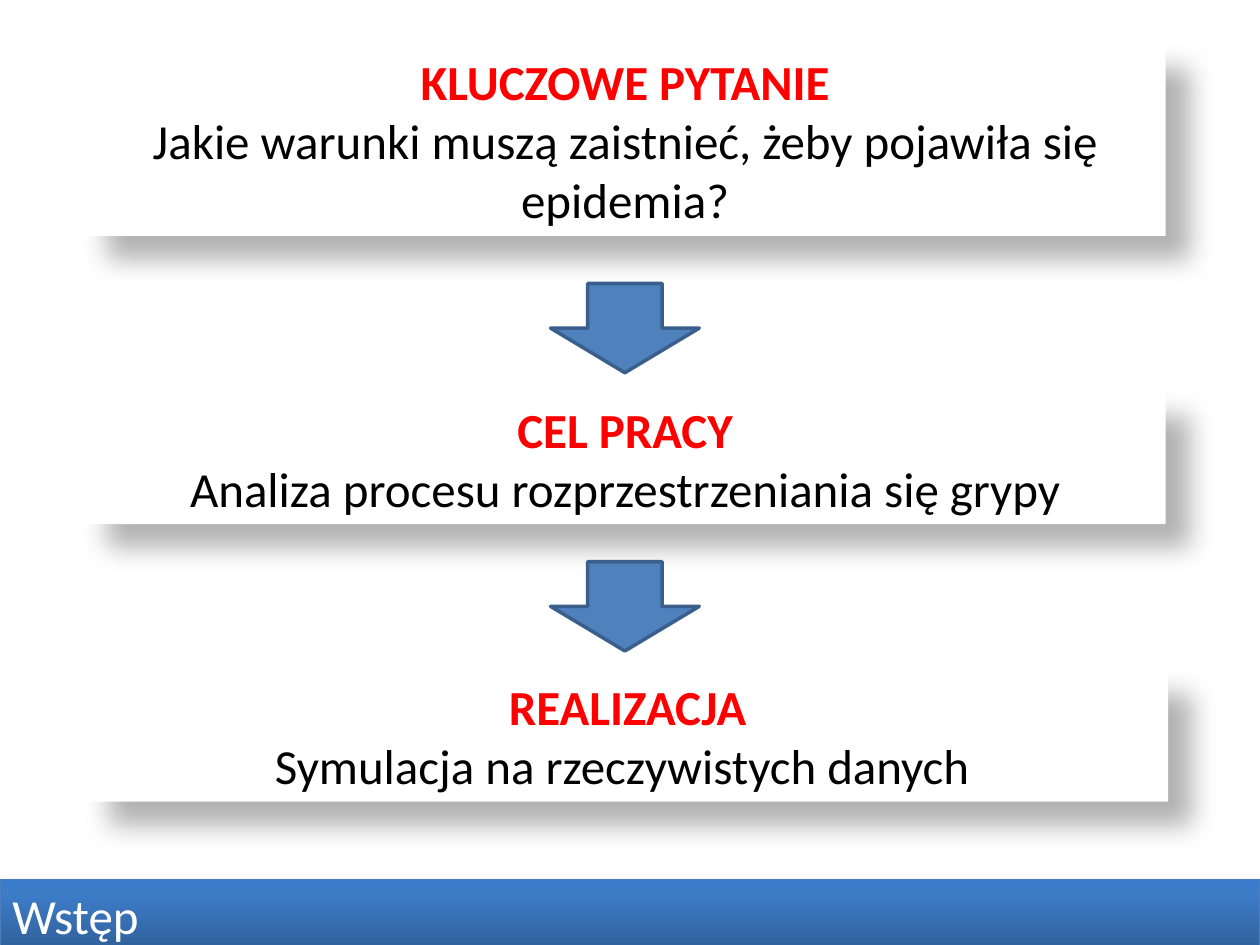
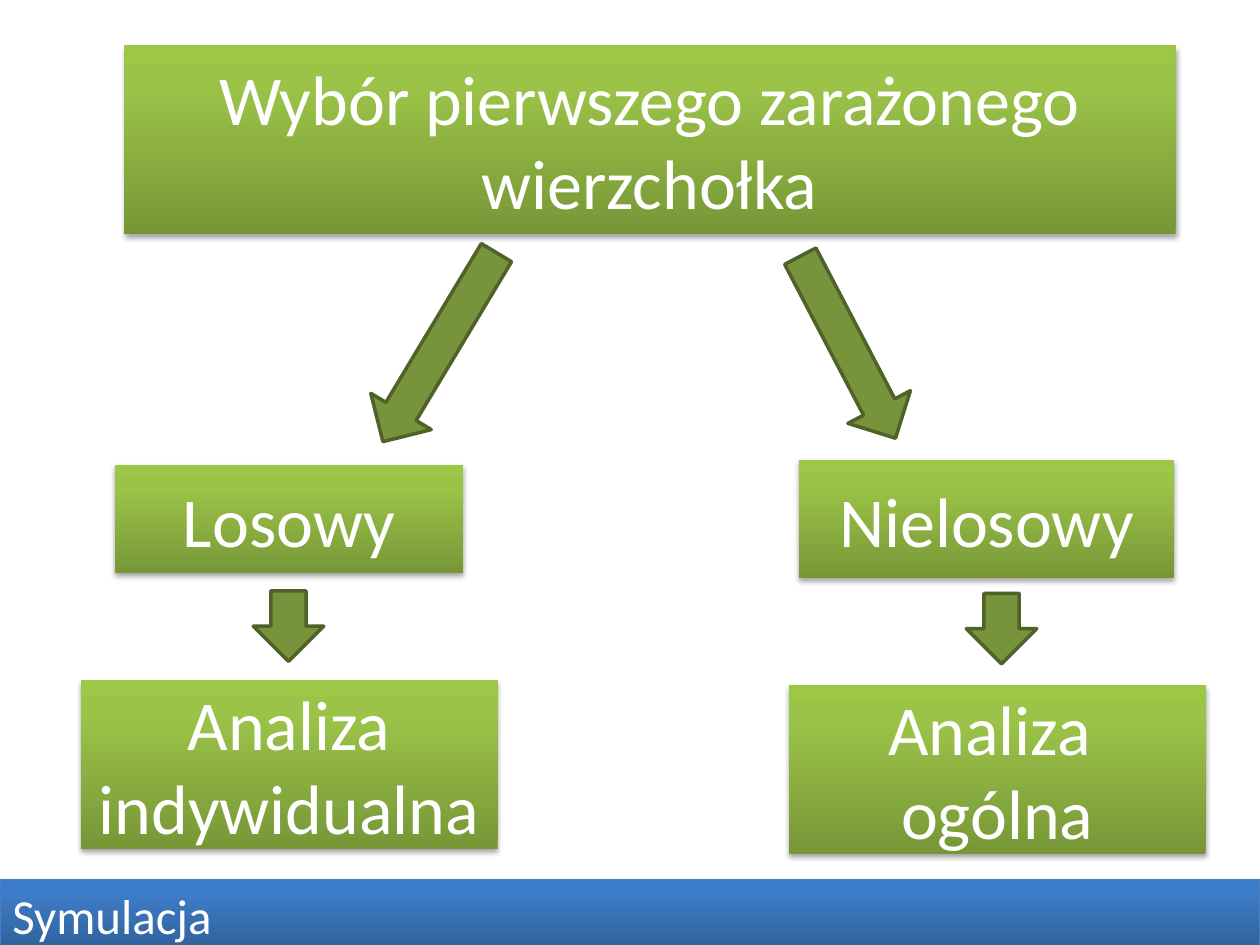
import copy

import pptx
import pptx.dml.color
import pptx.enum.shapes
import pptx.enum.text
import pptx.oxml
import pptx.oxml.ns
import pptx.util

Pt = pptx.util.Pt
RGBColor = pptx.dml.color.RGBColor
SHAPES = pptx.enum.shapes.MSO_SHAPE
ALIGN = pptx.enum.text.PP_ALIGN
ANCHOR = pptx.enum.text.MSO_ANCHOR
AUTO_SIZE = pptx.enum.text.MSO_AUTO_SIZE

WHITE = RGBColor(0xFF, 0xFF, 0xFF)
BLACK = RGBColor(0x00, 0x00, 0x00)
RED = RGBColor(0xFF, 0x00, 0x00)
BLUE = RGBColor(0x4F, 0x81, 0xBD)
BLUE_EDGE = RGBColor(0x3A, 0x5F, 0x8C)
BAND_EDGE = RGBColor(0x4B, 0x7E, 0xBC)
GREEN = RGBColor(0x77, 0x93, 0x3C)
GREEN_EDGE = RGBColor(0x4F, 0x62, 0x28)
BLUE_STOPS = (RGBColor(0x2F, 0x5F, 0x99), RGBColor(0x3D, 0x7C, 0xC7), RGBColor(0x3A, 0x7C, 0xCB))
GREEN_STOPS = (RGBColor(0x77, 0x97, 0x37), RGBColor(0x9B, 0xC3, 0x48), RGBColor(0x9D, 0xC7, 0x46))

DEEP_SHADOW = (30, 15, 18, 45)
SOFT_SHADOW = (35, 3.1, 1.8, 90)
WIDTH, HEIGHT = 720, 540


class Deck:
    font = "Calibri"
    body_size = 28
    node_size = 40
    stop_positions = (0, 0.8, 1)

    def __init__(self):
        self.presentation = pptx.Presentation()
        self.presentation.slide_width = Pt(WIDTH)
        self.presentation.slide_height = Pt(HEIGHT)
        self.slide = None

    def new_slide(self, section):
        self.slide = self.presentation.slides.add_slide(self.presentation.slide_layouts[6])
        self.band(section)

    def shape(self, kind, left, top, width, height):
        shape = self.slide.shapes.add_shape(kind, Pt(left), Pt(top), Pt(width), Pt(height))
        shape.shadow.inherit = False
        shape.line.fill.background()
        return shape

    def outline(self, shape, color, width):
        shape.line.color.rgb = color
        shape.line.width = Pt(width)

    def cast_shadow(self, shape, opacity, blur, distance, angle):
        effects = shape._element.spPr.find(pptx.oxml.ns.qn("a:effectLst"))
        effects.append(pptx.oxml.parse_xml(
            f'<a:outerShdw {pptx.oxml.ns.nsdecls("a")} blurRad="{int(Pt(blur))}" '
            f'dist="{int(Pt(distance))}" dir="{angle * 60000}" algn="ctr" rotWithShape="0">'
            f'<a:srgbClr val="{BLACK}"><a:alpha val="{opacity * 1000}"/></a:srgbClr>'
            f'</a:outerShdw>'))

    def gradient(self, shape, colors):
        shape.fill.gradient()
        shape.fill.gradient_angle = 90
        stops = shape._element.spPr.find(".//" + pptx.oxml.ns.qn("a:gsLst"))
        stops.append(copy.deepcopy(stops[-1]))
        for stop, color, position in zip(shape.fill.gradient_stops, colors, self.stop_positions):
            stop.color.rgb = color
            stop.position = position

    def label(self, shape, lines, size, align, anchor):
        frame = shape.text_frame
        frame.word_wrap = True
        frame.vertical_anchor = anchor
        frame.text = "\n".join(text for text, _, _ in lines)
        for paragraph, (_, color, bold) in zip(frame.paragraphs, lines):
            paragraph.alignment = align
            font = paragraph.runs[0].font
            font.name = self.font
            font.size = Pt(size)
            font.bold = bold
            font.color.rgb = color

    def band(self, section):
        band = self.shape(SHAPES.RECTANGLE, 0, 502.6, WIDTH, 41.2)
        self.gradient(band, BLUE_STOPS)
        self.outline(band, BAND_EDGE, 0.75)
        self.cast_shadow(band, *SOFT_SHADOW)
        self.label(band, [(section, WHITE, False)], self.body_size, ALIGN.LEFT, ANCHOR.TOP)
        band.text_frame.auto_size = AUTO_SIZE.SHAPE_TO_FIT_TEXT

    def card(self, left, top, height, heading, statement):
        card = self.shape(SHAPES.RECTANGLE, left, top, 618, height)
        card.fill.solid()
        card.fill.fore_color.rgb = WHITE
        self.cast_shadow(card, *DEEP_SHADOW)
        self.label(card, [(heading, RED, True), (statement, BLACK, False)],
                   self.body_size, ALIGN.CENTER, ANCHOR.TOP)
        card.text_frame.auto_size = AUTO_SIZE.SHAPE_TO_FIT_TEXT

    def node(self, left, top, width, height, *lines):
        node = self.shape(SHAPES.RECTANGLE, left, top, width, height)
        self.gradient(node, GREEN_STOPS)
        self.cast_shadow(node, *SOFT_SHADOW)
        self.label(node, [(line, WHITE, False) for line in lines],
                   self.node_size, ALIGN.CENTER, ANCHOR.MIDDLE)

    def arrow(self, left, top, width, height, color, edge, rotation=0):
        arrow = self.shape(SHAPES.DOWN_ARROW, left, top, width, height)
        arrow.fill.solid()
        arrow.fill.fore_color.rgb = color
        self.outline(arrow, edge, 2)
        arrow.rotation = rotation


def build_introduction(deck):
    deck.new_slide("Wstęp")
    for left, top, height, heading, statement in (
        (48.2, 26, 108.8, "KLUCZOWE PYTANIE",
         "Jakie warunki muszą zaistnieć, żeby pojawiła się epidemia?"),
        (48.2, 224.6, 75, "CEL PRACY", "Analiza procesu rozprzestrzeniania się grypy"),
        (49.6, 383.2, 75, "REALIZACJA", "Symulacja na rzeczywistych danych "),
    ):
        deck.card(left, top, height, heading, statement)
    for top in (162, 321):
        deck.arrow(314.6, top, 85, 51, BLUE, BLUE_EDGE)


def build_simulation(deck):
    deck.new_slide("Symulacja")
    deck.node(70.6, 26, 601.2, 108, "Wybór pierwszego zarażonego wierzchołka")
    deck.node(65.5, 265.7, 199.4, 62, "Losowy")
    deck.node(456.5, 262.8, 214.6, 67.7, "Nielosowy")
    deck.node(46, 388.8, 238.3, 96.5, "Analiza indywidualna")
    deck.node(450.7, 391.7, 238.3, 96.5, "Analiza ", "ogólna")
    for left, top, height, rotation in (
        (231.1, 135.4, 126, 31),
        (464.4, 139.7, 117.4, 332.4),
        (144.7, 337.7, 40.3, 0),
        (552.2, 339.1, 40.3, 0),
    ):
        deck.arrow(left, top, 40.3, height, GREEN, GREEN_EDGE, rotation)


def main():
    deck = Deck()
    build_introduction(deck)
    build_simulation(deck)
    deck.presentation.save("out.pptx")


if __name__ == "__main__":
    main()
